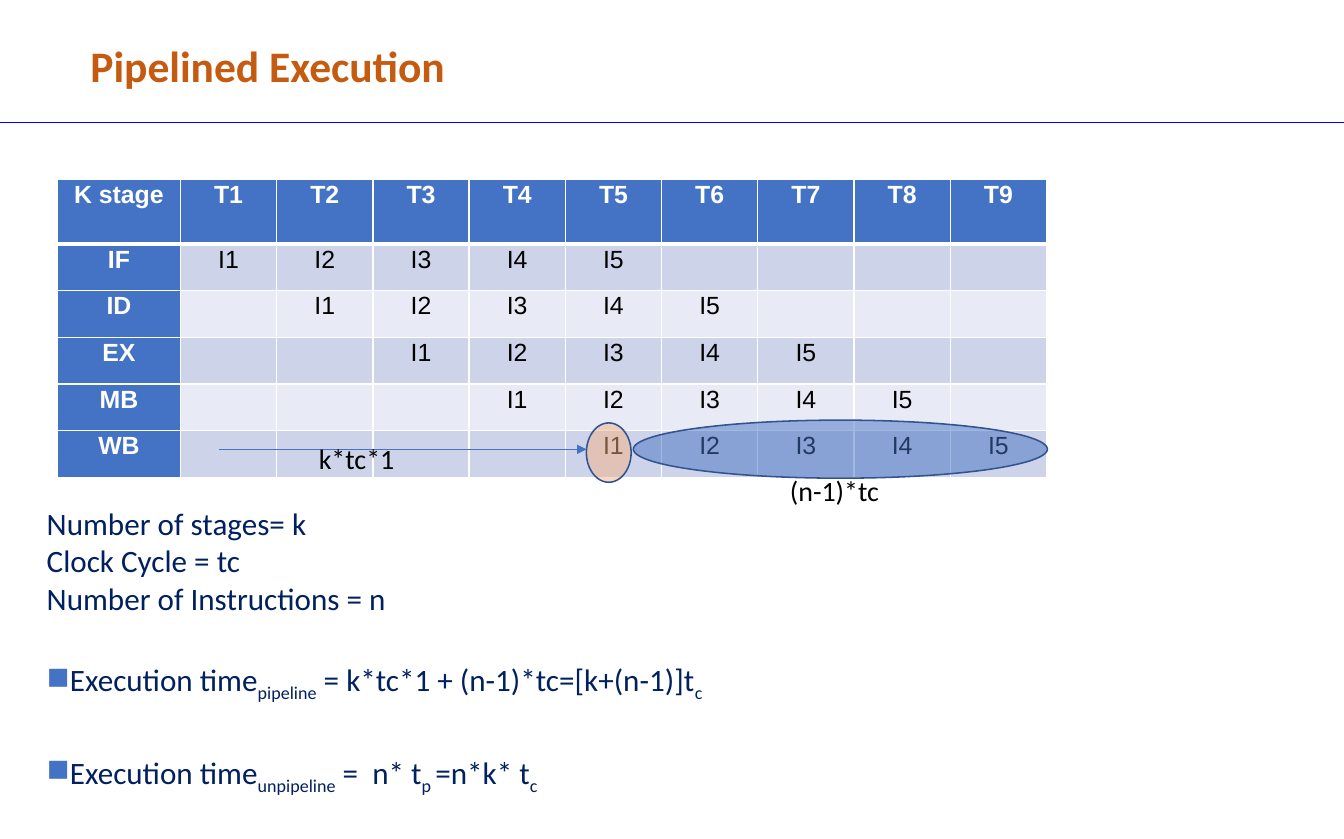
from lxml import etree
from pptx import Presentation
from pptx.dml.color import RGBColor
from pptx.enum.shapes import MSO_CONNECTOR, MSO_SHAPE
from pptx.enum.text import MSO_AUTO_SIZE, PP_ALIGN
from pptx.oxml.ns import qn
from pptx.util import Pt

STRAIGHT = MSO_CONNECTOR.STRAIGHT
OVAL = MSO_SHAPE.OVAL
CENTER = PP_ALIGN.CENTER
GROW = MSO_AUTO_SIZE.SHAPE_TO_FIT_TEXT

WHITE = RGBColor(0xFF, 0xFF, 0xFF)
BLACK = RGBColor(0x00, 0x00, 0x00)
RULE_BLUE = RGBColor(0x00, 0x00, 0xFF)
BLUE = RGBColor(0x44, 0x72, 0xC4)
DARK_BLUE = RGBColor(0x31, 0x53, 0x8F)
NAVY = RGBColor(0x00, 0x20, 0x60)
ORANGE = RGBColor(0xC5, 0x5A, 0x11)
PEACH = RGBColor(0xF4, 0xB0, 0x81)
BAND_DARK = RGBColor(0xCD, 0xD4, 0xEA)
BAND_LIGHT = RGBColor(0xE8, 0xEB, 0xF5)

STAGES = ["IF", "ID", "EX", "MB", "WB"]
CYCLES = 9
INSTRUCTIONS = 5
SUBSCRIPT = "-25000"

# Each paragraph: space before, bulleted, runs of (text, is subscript)
NOTES = [
    (0, False, [("Number of stages= k", False)]),
    (0, False, [("Clock Cycle = tc", False)]),
    (0, False, [("Number of Instructions = n", False)]),
    (28.4, True, [("Execution time", False), ("pipeline", True),
                  (" = k*tc*1 + (n-1)*tc=[k+(n-1)]t", False), ("c", True)]),
    (32.4, True, [("Execution time", False), ("unpipeline", True),
                  (" =  n* t", False), ("p ", True),
                  ("=n*k* t", False), ("c", True)]),
]


def set_values(target, values):
    for name, value in values.items():
        setattr(target, name, value)


def add_child(parent, tag, **attributes):
    return etree.SubElement(parent, qn(tag), attributes)


def format_font(font, size, color, bold=False, name="Calibri"):
    set_values(font, {"name": name, "size": Pt(size), "bold": bold})
    font.color.rgb = color


def add_text_frame(slide, left, top, width, height):
    box = slide.shapes.add_textbox(Pt(left), Pt(top), Pt(width), Pt(height))
    set_values(box.text_frame, {"word_wrap": True, "auto_size": GROW})
    return box.text_frame


def add_label(slide, text, position, size, color, bold=False):
    paragraph = add_text_frame(slide, *position).paragraphs[0]
    run = paragraph.add_run()
    run.text = text
    format_font(run.font, size, color, bold)


def add_bullet(paragraph):
    properties = paragraph._p.get_or_add_pPr()
    set_indent = {"marL": "0", "indent": str(-Pt(7.2))}
    for name, value in set_indent.items():
        properties.set(name, value)
    add_child(add_child(properties, "a:buClr"), "a:srgbClr", val=str(BLUE))
    add_child(properties, "a:buChar", char="■")


def add_notes(slide, position):
    frame = add_text_frame(slide, *position)
    for index, (space, bulleted, runs) in enumerate(NOTES):
        paragraph = frame.add_paragraph() if index else frame.paragraphs[0]
        if space:
            paragraph.space_before = Pt(space)
        if bulleted:
            add_bullet(paragraph)
        for text, is_subscript in runs:
            run = paragraph.add_run()
            run.text = text
            format_font(run.font, 20, NAVY)
            if is_subscript:
                run._r.get_or_add_rPr().set("baseline", SUBSCRIPT)


def add_line(slide, left, right, y, color, arrow=False):
    line = slide.shapes.add_connector(STRAIGHT, Pt(left), Pt(y), Pt(right), Pt(y))
    line.line.color.rgb = color
    line.line.width = Pt(0.75)
    if arrow:
        add_child(line.line._get_or_add_ln(), "a:tailEnd", type="triangle")
    add_child(line._element.spPr, "a:effectLst")


def add_highlight(slide, left, top, width, height, color, opacity):
    oval = slide.shapes.add_shape(OVAL, Pt(left), Pt(top), Pt(width), Pt(height))
    oval.shadow.inherit = False
    oval.fill.solid()
    oval.fill.fore_color.rgb = color
    fill_color = oval._element.spPr.find(qn("a:solidFill"))[0]
    add_child(fill_color, "a:alpha", val=str(opacity * 1000))
    oval.line.color.rgb = DARK_BLUE
    oval.line.width = Pt(1)


def add_borders(cell, top, bottom):
    properties = cell._tc.get_or_add_tcPr()
    for side, width in {"L": 1, "R": 1, "T": top, "B": bottom}.items():
        border = add_child(properties, f"a:ln{side}", w=str(Pt(width)))
        add_child(add_child(border, "a:solidFill"), "a:srgbClr", val=str(WHITE))


def cell_text(row, column):
    """Instruction i enters stage s in cycle i + s - 1."""
    if row == 0:
        return f"T{column}" if column else "K stage"
    if column == 0:
        return STAGES[row - 1]
    instruction = column - row + 1
    return f"I{instruction}" if 1 <= instruction <= INSTRUCTIONS else ""


def format_cell(cell, row, column):
    is_header = row == 0 or column == 0
    set_values(cell, {"margin_left": Pt(6.5), "margin_right": Pt(6.5),
                      "margin_top": 0, "margin_bottom": 0})
    add_borders(cell, 3 if row == 1 else 1, 3 if row == 0 else 1)
    cell.fill.solid()
    band = BAND_DARK if row % 2 else BAND_LIGHT
    cell.fill.fore_color.rgb = BLUE if is_header else band
    paragraph = cell.text_frame.paragraphs[0]
    set_values(paragraph, {"alignment": CENTER, "line_spacing": 1.07})
    text = cell_text(row, column)
    if text:
        run = paragraph.add_run()
        run.text = text
        format_font(run.font, 16, WHITE if is_header else BLACK, is_header, "Arial")


def add_pipeline_table(slide):
    rows, columns = len(STAGES) + 1, CYCLES + 1
    table = slide.shapes.add_table(
        rows, columns, Pt(36.9), Pt(115.4), Pt(636.5), Pt(192)).table
    for index, column in enumerate(table.columns):
        column.width = Pt(61.92 if index else 79.2)
    for index, row in enumerate(table.rows):
        row.height = Pt(30.1 if index else 41.5)
    for row in range(rows):
        for column in range(columns):
            format_cell(table.cell(row, column), row, column)


def main():
    presentation = Presentation()
    set_values(presentation, {"slide_width": Pt(864.72), "slide_height": Pt(540)})
    slide = presentation.slides.add_slide(presentation.slide_layouts[6])

    # Rule under the title, table and formulas
    add_line(slide, 0, 864.72, 79, RULE_BLUE)
    add_pipeline_table(slide)
    add_notes(slide, (23, 321.1, 732.2, 213.1))

    # Completion of the first and of the remaining instructions
    add_highlight(slide, 407.5, 270.4, 266.4, 37.4, BLUE, 50)
    add_highlight(slide, 377.3, 272.2, 28.8, 38.2, PEACH, 49)
    add_line(slide, 141.1, 377.3, 289.2, BLUE, arrow=True)
    add_label(slide, "k*tc*1", (198, 280.8, 102.2, 28.8), 18, BLACK)
    add_label(slide, "(n-1)*tc", (501.1, 301, 102.2, 28.8), 18, BLACK)

    # Title
    add_label(slide, "Pipelined Execution", (51.1, 21.6, 294.5, 41), 28, ORANGE, True)
    presentation.save("out.pptx")


if __name__ == "__main__":
    main()
